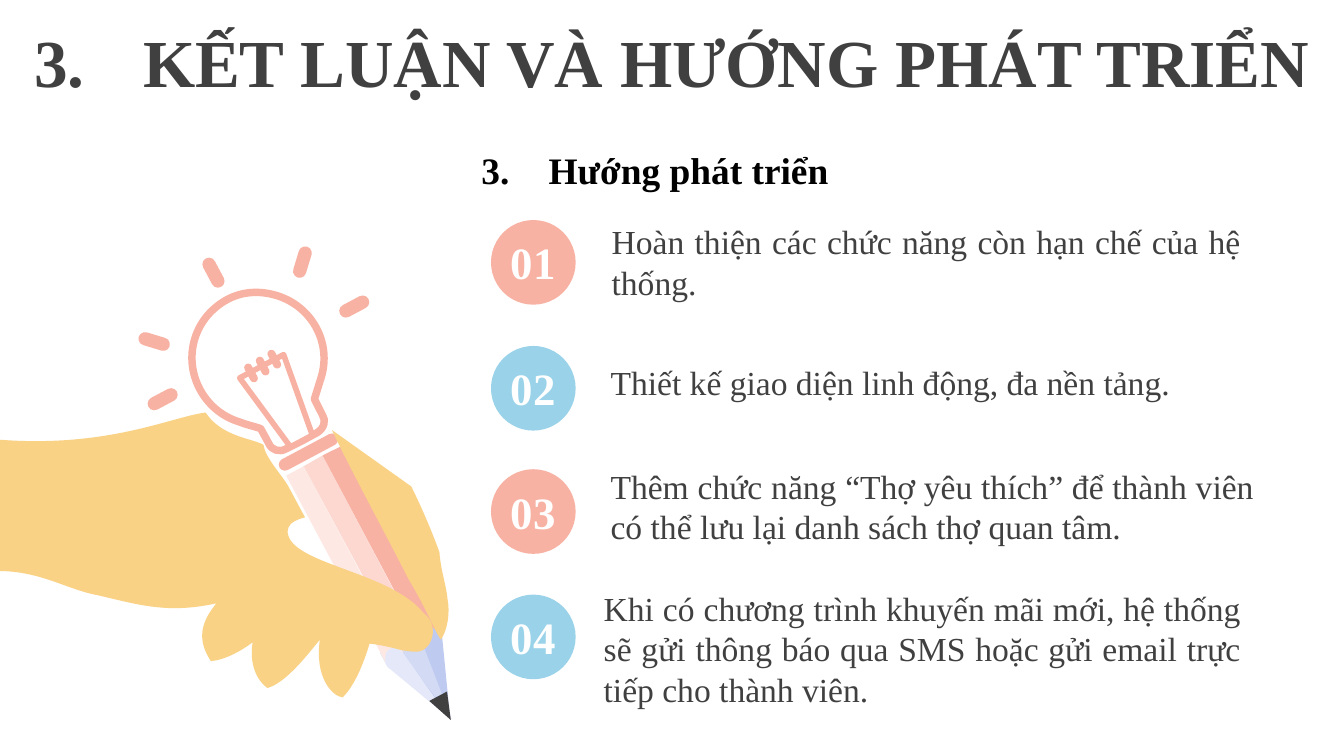
"""Build the conclusion slide with a hand holding a light-bulb pencil and four numbered goals."""
from dataclasses import dataclass
from typing import Optional

import lxml.etree
import pptx
import pptx.dml.color
import pptx.enum.shapes
import pptx.enum.text
import pptx.oxml
import pptx.oxml.ns
import pptx.util

Cm = pptx.util.Cm
Pt = pptx.util.Pt
RGBColor = pptx.dml.color.RGBColor
Preset = pptx.enum.shapes.MSO_SHAPE
Align = pptx.enum.text.PP_ALIGN
Anchor = pptx.enum.text.MSO_ANCHOR

FONT = "Times New Roman"
BLACK = RGBColor(0x00, 0x00, 0x00)
WHITE = RGBColor(0xFF, 0xFF, 0xFF)
DARK = RGBColor(0x40, 0x40, 0x40)
CORAL = RGBColor(0xF8, 0xB2, 0xA3)
CORAL_LIGHT = RGBColor(0xFC, 0xD8, 0xD1)
CORAL_PALE = RGBColor(0xFD, 0xE8, 0xE3)
BLUE = RGBColor(0x9A, 0xD3, 0xE9)
LAVENDER = RGBColor(0xBF, 0xCA, 0xF0)
LAVENDER_LIGHT = RGBColor(0xD2, 0xDA, 0xF4)
LAVENDER_PALE = RGBColor(0xE4, 0xE8, 0xF9)
SKIN = RGBColor(0xF9, 0xD2, 0x86)

OUTLINE_UNIT = 2.54
TILT = 332


@dataclass
class Outline:
    commands: str
    fill: RGBColor
    line: Optional[RGBColor] = None
    weight: float = 0


@dataclass
class Part:
    preset: Preset
    left: float
    top: float
    width: float
    height: float
    fill: RGBColor
    rotation: float = 0
    line: Optional[RGBColor] = None
    weight: float = 0


@dataclass
class Label:
    text: str
    left: float
    top: float
    width: float
    height: float
    size: float = 18
    color: RGBColor = DARK
    bold: bool = False
    align: Align = Align.LEFT
    anchor: Anchor = Anchor.TOP
    number: Optional[int] = None
    indent: float = 0


@dataclass
class Goal:
    circle_top: float
    color: RGBColor
    label: Label


PENCIL = [
    Outline("M 2.83 4.86 L 3.24 4.64 L 3.29 4.74 L 3.35 5.35 L 2.88 4.95", LAVENDER),
    Outline("M 2.96 4.78 L 3.1 4.71 L 3.14 4.78 L 3.36 5.35 L 3.01 4.88", LAVENDER_LIGHT),
    Outline("M 2.83 4.86 L 2.97 4.79 C 2.98 4.81 2.99 4.83 3 4.86 L 3.34 5.34 L 2.88 4.96",
            LAVENDER_PALE),
    Outline("M 2.13 3.54 L 2.26 3.47 L 3 4.86 C 2.97 4.82 2.93 4.81 2.9 4.83 "
            "C 2.87 4.84 2.86 4.89 2.87 4.93", CORAL_PALE),
    Outline("M 2.26 3.47 L 2.4 3.39 L 3.14 4.79 C 3.11 4.75 3.07 4.74 3.04 4.75 "
            "C 3 4.77 2.99 4.81 3.01 4.86", CORAL_LIGHT),
    Outline("M 2.4 3.39 L 2.54 3.32 L 3.28 4.71 C 3.25 4.68 3.2 4.66 3.17 4.68 "
            "C 3.14 4.7 3.13 4.74 3.14 4.78", CORAL),
]
BULB = Outline(
    "M 1.69 2.23 C 1.8 2.17 1.93 2.16 2.06 2.2 C 2.32 2.28 2.47 2.55 2.39 2.81 "
    "L 2.34 2.97 L 2.4 3.09 C 2.43 3.13 2.41 3.19 2.36 3.22 L 2.25 3.28 L 2.13 3.34 "
    "C 2.08 3.37 2.02 3.35 2 3.3 L 1.94 3.19 C 1.88 3.17 1.83 3.16 1.78 3.14 "
    "C 1.52 3.06 1.37 2.78 1.45 2.52 C 1.49 2.39 1.58 2.29 1.69 2.23", WHITE, CORAL, 4)
HAND = Outline(
    "M 2.47 3.2 L 3.06 3.62 C 3.14 3.78 3.22 3.97 3.27 4.11 C 3.28 4.25 3.32 4.35 3.33 4.46 "
    "C 3.35 4.56 3.33 4.69 3.28 4.76 C 3.23 4.69 3.19 4.56 3.04 4.31 "
    "C 2.91 4.05 2.61 3.5 2.47 3.2 "
    "M 1.53 3.07 C 1.65 3.25 1.87 3.26 1.96 3.31 C 1.97 3.4 2.1 3.54 2.14 3.61 "
    "C 2.19 3.7 2.22 3.76 2.27 3.85 C 2.19 3.87 2.14 3.9 2.14 3.96 "
    "C 2.16 4.2 2.9 4.25 3.15 4.56 C 3.28 4.66 3.21 4.84 3.11 4.85 "
    "C 2.97 4.85 2.93 4.81 2.75 4.79 C 2.69 4.99 2.62 5.12 2.55 5.19 "
    "C 2.47 5.18 2.34 5.04 2.38 4.76 C 2.29 4.87 2.13 5.08 1.99 5.12 "
    "C 1.88 5.04 1.86 4.89 1.88 4.78 C 1.8 4.84 1.68 4.91 1.57 4.92 "
    "C 1.44 4.73 1.53 4.59 1.61 4.49 C 1.25 4.57 1.03 4.5 0.73 4.43 "
    "C 0.5 4.39 0.29 4.24 -0.04 4.25 L -0.03 3.27 C 0.8 3.34 1.28 3.1 1.53 3.07", SKIN)

TIP = Part(Preset.ISOSCELES_TRIANGLE, 8.21, 13.13, 0.38, 0.51, DARK, 152)
FILAMENT = Part(Preset.TRAPEZOID, 4.85, 6.83, 0.94, 1.6, WHITE, 152, CORAL, 3)
RAYS = [Part(Preset.ROUNDED_RECTANGLE, left, top, 0.25, 0.61, CORAL, rotation)
        for left, top, rotation in [(5.59, 4.65, 17), (2.79, 6.15, 287), (3.91, 4.85, TILT),
                                    (6.57, 5.49, 62), (2.95, 7.24, 242)]]
COLLAR = Part(Preset.ROUNDED_RECTANGLE, 5.21, 8.43, 1.24, 0.23, CORAL, TILT)
COILS = [Part(Preset.ROUNDED_RECTANGLE, 4.67 + 0.22 * index, 6.86 - 0.13 * index,
              0.15, 0.38, CORAL, TILT) for index in range(3)]

HEADINGS = [
    Label("KẾT LUẬN VÀ HƯỚNG PHÁT TRIỂN", 0, 0.35, 25.4, 1.6, 36, DARK, True,
          Align.CENTER, Anchor.MIDDLE, 3, 2.06),
    Label("Hướng phát triển", 8.85, 2.66, 15.85, 1.12, 20, BLACK, True, number=3, indent=1.27),
]
GOALS = [
    Goal(4.16, CORAL, Label("Hoàn thiện các chức năng còn hạn chế của hệ thống.",
                            11.31, 4.06, 12.4, 1.8, align=Align.JUSTIFY)),
    Goal(6.54, BLUE, Label("Thiết kế giao diện linh động, đa nền tảng.",
                           11.29, 6.71, 11.91, 1.02)),
    Goal(8.87, CORAL, Label("Thêm chức năng “Thợ yêu thích” để thành viên có thể lưu lại "
                            "danh sách thợ quan tâm.",
                            11.29, 8.68, 12.67, 1.8, align=Align.JUSTIFY)),
    Goal(11.24, BLUE, Label("Khi có chương trình khuyến mãi mới, hệ thống sẽ gửi thông báo "
                            "qua SMS hoặc gửi email trực tiếp cho thành viên.",
                            11.16, 10.99, 12.55, 2.57, align=Align.JUSTIFY)),
]


def paint(shape, style) -> None:
    """Apply the fill and optional line of an outline or part."""
    shape.shadow.inherit = False
    shape.fill.solid()
    shape.fill.fore_color.rgb = style.fill
    if style.line is None:
        shape.line.fill.background()
    else:
        shape.line.color.rgb = style.line
        shape.line.width = Pt(style.weight)


def trace(commands: str) -> list:
    """List the points of each contour, control points included."""
    contours = []
    for contour in commands.split("M")[1:]:
        values = [Cm(float(token) * OUTLINE_UNIT)
                  for token in contour.split() if token not in "LC"]
        contours.append(list(zip(values[::2], values[1::2])))
    return contours


def bend(shape, commands: str) -> None:
    """Join the three segments of each curve command into one cubic curve."""
    segments = iter(shape._element.xpath(".//a:path/a:lnTo"))
    for command in commands.split():
        if command == "L":
            next(segments)
        elif command == "C":
            curve = lxml.etree.Element(pptx.oxml.ns.qn("a:cubicBezTo"))
            pieces = [next(segments) for _ in range(3)]
            pieces[0].addprevious(curve)
            for piece in pieces:
                curve.append(piece[0])
                piece.getparent().remove(piece)


def draw_outline(slide, outline: Outline) -> None:
    """Draw an outline as one freeform."""
    contours = trace(outline.commands)
    builder = slide.shapes.build_freeform(*contours[0][0])
    for index, contour in enumerate(contours):
        if index:
            builder.move_to(*contour[0])
        builder.add_line_segments(contour[1:], close=True)
    shape = builder.convert_to_shape()
    bend(shape, outline.commands)
    paint(shape, outline)


def draw_part(slide, part: Part) -> None:
    """Draw a preset shape."""
    shape = slide.shapes.add_shape(part.preset, Cm(part.left), Cm(part.top),
                                   Cm(part.width), Cm(part.height))
    shape.rotation = part.rotation
    if part.preset == Preset.ROUNDED_RECTANGLE:
        shape.adjustments[0] = 0.5
    paint(shape, part)


def draw_label(slide, label: Label) -> None:
    """Draw a text box, numbered when the label has a number."""
    shape = slide.shapes.add_textbox(Cm(label.left), Cm(label.top),
                                     Cm(label.width), Cm(label.height))
    text_frame = shape.text_frame
    text_frame.word_wrap = True
    text_frame.vertical_anchor = label.anchor
    text_frame.text = label.text
    paragraph = text_frame.paragraphs[0]
    paragraph.alignment = label.align
    font = paragraph.runs[0].font
    font.name, font.size, font.bold = FONT, Pt(label.size), label.bold
    font.color.rgb = label.color
    if label.number is not None:
        properties = paragraph._p.get_or_add_pPr()
        properties.set("marL", str(Cm(label.indent)))
        properties.set("indent", str(-Cm(label.indent)))
        properties.append(pptx.oxml.parse_xml(
            '<a:buAutoNum xmlns:a="http://schemas.openxmlformats.org/drawingml/2006/main" '
            f'type="arabicPeriod" startAt="{label.number}"/>'))


def draw_goal(slide, number: int, goal: Goal) -> None:
    """Draw a numbered circle with its description."""
    draw_part(slide, Part(Preset.OVAL, 9.28, goal.circle_top, 1.6, 1.6, goal.color))
    draw_label(slide, Label(f"{number:02}", 9.19, goal.circle_top + 0.16, 1.78, 1.27,
                            24, WHITE, True, Align.CENTER))
    draw_label(slide, goal.label)


def main() -> None:
    """Build and save the presentation."""
    presentation = pptx.Presentation()
    presentation.slide_width, presentation.slide_height = Cm(25.4), Cm(14.29)
    slide = presentation.slides.add_slide(presentation.slide_layouts[6])
    for outline in PENCIL:
        draw_outline(slide, outline)
    draw_part(slide, TIP)
    draw_outline(slide, BULB)
    for part in [FILAMENT, *RAYS, COLLAR, *COILS]:
        draw_part(slide, part)
    draw_outline(slide, HAND)
    for heading in HEADINGS:
        draw_label(slide, heading)
    for number, goal in enumerate(GOALS, 1):
        draw_goal(slide, number, goal)
    presentation.save("out.pptx")


if __name__ == "__main__":
    main()
